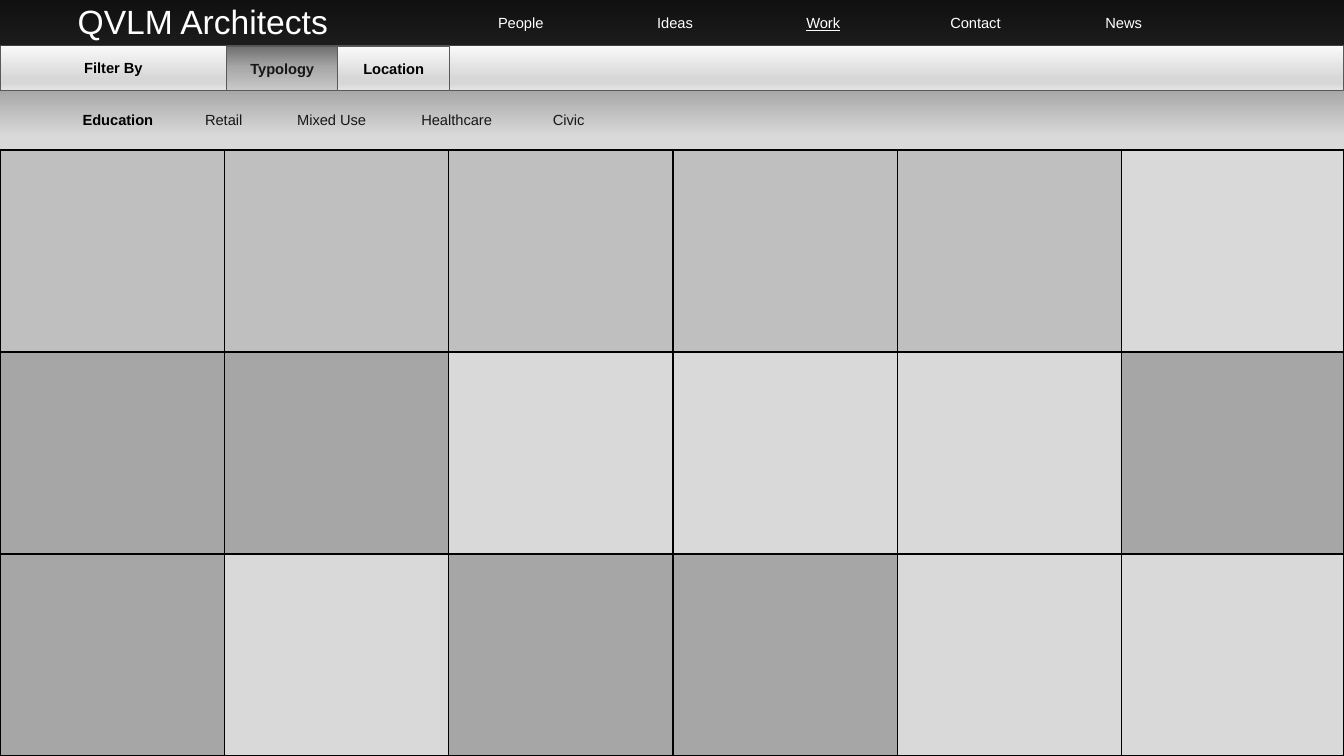
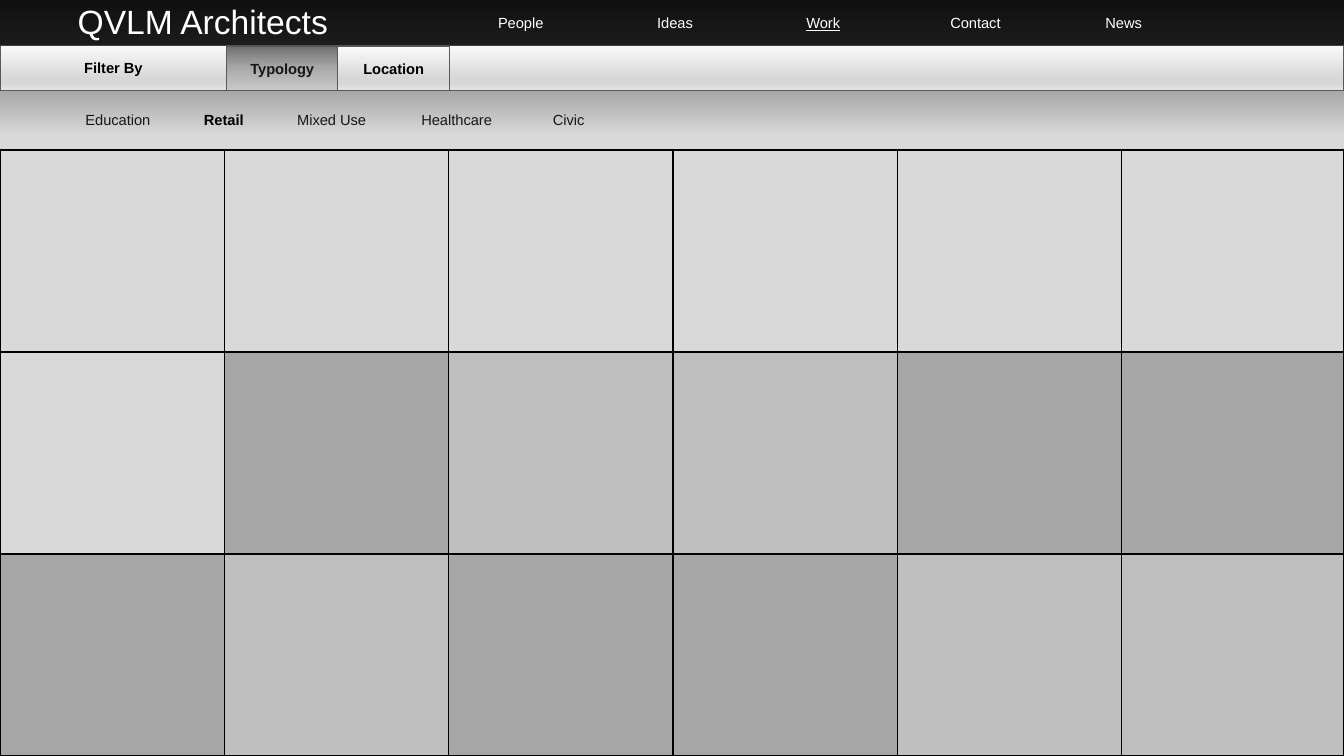
from lxml.etree import SubElement
from pptx import Presentation
from pptx.dml.color import RGBColor
from pptx.enum.shapes import MSO_SHAPE
from pptx.enum.text import MSO_ANCHOR, MSO_AUTO_SIZE, PP_ALIGN
from pptx.oxml.ns import qn
from pptx.util import Inches, Pt

# Slide regions, in inches
WIDTH, HEIGHT = 13.33, 7.5
HEADER_BOX = (0, 0, WIDTH, 0.45)
FILTER_BOX = (0, 0.45, WIDTH, 0.45)
CATEGORY_BOX = (0, 0.97, WIDTH, 0.44)
GRID_BOX = (0, 1.49, WIDTH, HEIGHT - 1.49)
COLUMN_WIDTH, ROW_COUNT = 2.225, 3

# Colours and gradients (position in percent, colour)
BLACK = RGBColor(0x00, 0x00, 0x00)
WHITE = RGBColor(0xFF, 0xFF, 0xFF)
INK = RGBColor(0x18, 0x17, 0x17)
BAR_LINE = RGBColor(0x59, 0x59, 0x59)
TILE_COLOURS = {
    "L": RGBColor(0xD9, 0xD9, 0xD9),
    "M": RGBColor(0xBF, 0xBF, 0xBF),
    "D": RGBColor(0xA6, 0xA6, 0xA6),
}
PAGE_GRADIENT = [(0, RGBColor(0x40, 0x40, 0x40)), (18, TILE_COLOURS["L"]), (100, WHITE)]
BAR_GRADIENT = [
    (0, RGBColor(0xFA, 0xFA, 0xFA)), (74, RGBColor(0xD7, 0xD7, 0xD7)),
    (83, RGBColor(0xD7, 0xD7, 0xD7)), (100, RGBColor(0xE4, 0xE4, 0xE4)),
]
ACTIVE_GRADIENT = [
    (0, RGBColor(0x6F, 0x6F, 0x6F)), (48, RGBColor(0xA8, 0xA8, 0xA8)),
    (100, RGBColor(0xC9, 0xC9, 0xC9)),
]

# Wording, with the left edge of each label
FIRM_NAME = "QVLM Architects"
NAVIGATION = [("People", 4.67), ("Ideas", 6.2), ("Work", 7.67), ("Contact", 9.18), ("News", 10.65)]
CURRENT_PAGE = "Work"
CATEGORIES = [("Education", 0.62), ("Retail", 1.67), ("Mixed Use", 2.74), ("Healthcare", 3.98), ("Civic", 5.09)]
# Filter bar parts: text, left, width, gap above, gradient, text colour
FILTERS = [
    ("", 4.46, WIDTH - 4.46, 0, BAR_GRADIENT, BLACK),
    ("Filter By", 0, 2.25, 0, BAR_GRADIENT, BLACK),
    ("Location", 3.35, 1.11, 0.01, BAR_GRADIENT, BLACK),
    ("Typology", 2.25, 1.1, 0.01, ACTIVE_GRADIENT, INK),
]
# Selected category and tile shades, row by row
PAGES = [
    ("Education", ["MMMMML", "DDLLLD", "DLDDLL"]),
    ("Retail", ["LLLLLL", "LDMMDD", "DMDDMM"]),
]


def set_gradient(fill, element, stops):
    """Fill from top to bottom with the given stops."""
    fill.gradient()
    fill.gradient_angle = 270
    stop_list = element.xpath(".//a:gsLst")[0]
    for stop in list(stop_list):
        stop_list.remove(stop)
    for position, colour in stops:
        stop = SubElement(stop_list, qn("a:gs"), pos=str(position * 1000))
        SubElement(stop, qn("a:srgbClr"), val=str(colour))


def write_text(shape, text, size=10.5, colour=INK, bold=False, underline=False,
               alignment=PP_ALIGN.CENTER):
    frame = shape.text_frame
    frame.word_wrap = True
    frame.auto_size = MSO_AUTO_SIZE.NONE
    frame.vertical_anchor = MSO_ANCHOR.MIDDLE
    paragraph = frame.paragraphs[0]
    paragraph.alignment = alignment
    run = paragraph.add_run()
    run.text = text
    font = run.font
    font.name, font.size, font.bold, font.underline = "Arial", Pt(size), bold, underline
    font.color.rgb = colour


def add_label(slide, box, text, **text_format):
    write_text(slide.shapes.add_textbox(*map(Inches, box)), text, **text_format)


def add_rectangle(slide, box, colour=None, stops=None, line=None, line_width=1):
    shape = slide.shapes.add_shape(MSO_SHAPE.RECTANGLE, *map(Inches, box))
    shape.shadow.inherit = False
    if stops:
        set_gradient(shape.fill, shape.element, stops)
    else:
        shape.fill.solid()
        shape.fill.fore_color.rgb = colour
    if line is None:
        shape.line.fill.background()
    else:
        shape.line.color.rgb = line
        shape.line.width = Pt(line_width)
    return shape


def add_project_grid(slide, box, shades):
    left, top, width, height = box
    row_height = height / ROW_COUNT
    for row, row_shades in enumerate(shades):
        for column, shade in enumerate(row_shades):
            offset = column * COLUMN_WIDTH
            tile = (left + offset, top + row * row_height,
                    min(COLUMN_WIDTH, width - offset), row_height)
            add_rectangle(slide, tile, TILE_COLOURS[shade], line=BLACK)


def add_filter_bar(slide, box):
    left, top, _, height = box
    for text, offset, width, gap, stops, colour in FILTERS:
        part = (left + offset, top + gap, width, height - gap)
        shape = add_rectangle(slide, part, stops=stops, line=BAR_LINE, line_width=0.75)
        if text:
            write_text(shape, text, colour=colour, bold=True)


def add_category_row(slide, box, selected):
    left, top, _, height = box
    for text, offset in CATEGORIES:
        chosen = text == selected
        add_label(slide, (left + offset, top, 1.1, height), text,
                  colour=BLACK if chosen else INK, bold=chosen)


def add_header(slide, box):
    left, top, _, height = box
    band = add_rectangle(slide, box, BLACK)
    colour = band.element.xpath("./p:spPr/a:solidFill/a:srgbClr")[0]
    SubElement(colour, qn("a:alpha"), val="75000")
    for text, offset in NAVIGATION:
        add_label(slide, (left + offset, top, 0.99, height), text,
                  colour=WHITE, underline=text == CURRENT_PAGE)
    # The title sits in front of the band
    title = slide.shapes.title
    title.left, title.top = Inches(left + 0.67), Inches(top)
    title.width, title.height = Inches(3.78), Inches(height - 0.03)
    write_text(title, FIRM_NAME, size=24, colour=WHITE, alignment=PP_ALIGN.LEFT)
    title.element.getparent().append(title.element)


def add_work_page(presentation, selected, shades):
    slide = presentation.slides.add_slide(presentation.slide_layouts[5])
    set_gradient(slide.background.fill, slide.element, PAGE_GRADIENT)
    add_project_grid(slide, GRID_BOX, shades)
    add_filter_bar(slide, FILTER_BOX)
    add_category_row(slide, CATEGORY_BOX, selected)
    add_header(slide, HEADER_BOX)


def main():
    presentation = Presentation()
    presentation.slide_width, presentation.slide_height = Inches(WIDTH), Inches(HEIGHT)
    for selected, shades in PAGES:
        add_work_page(presentation, selected, shades)
    presentation.save("out.pptx")


if __name__ == "__main__":
    main()
